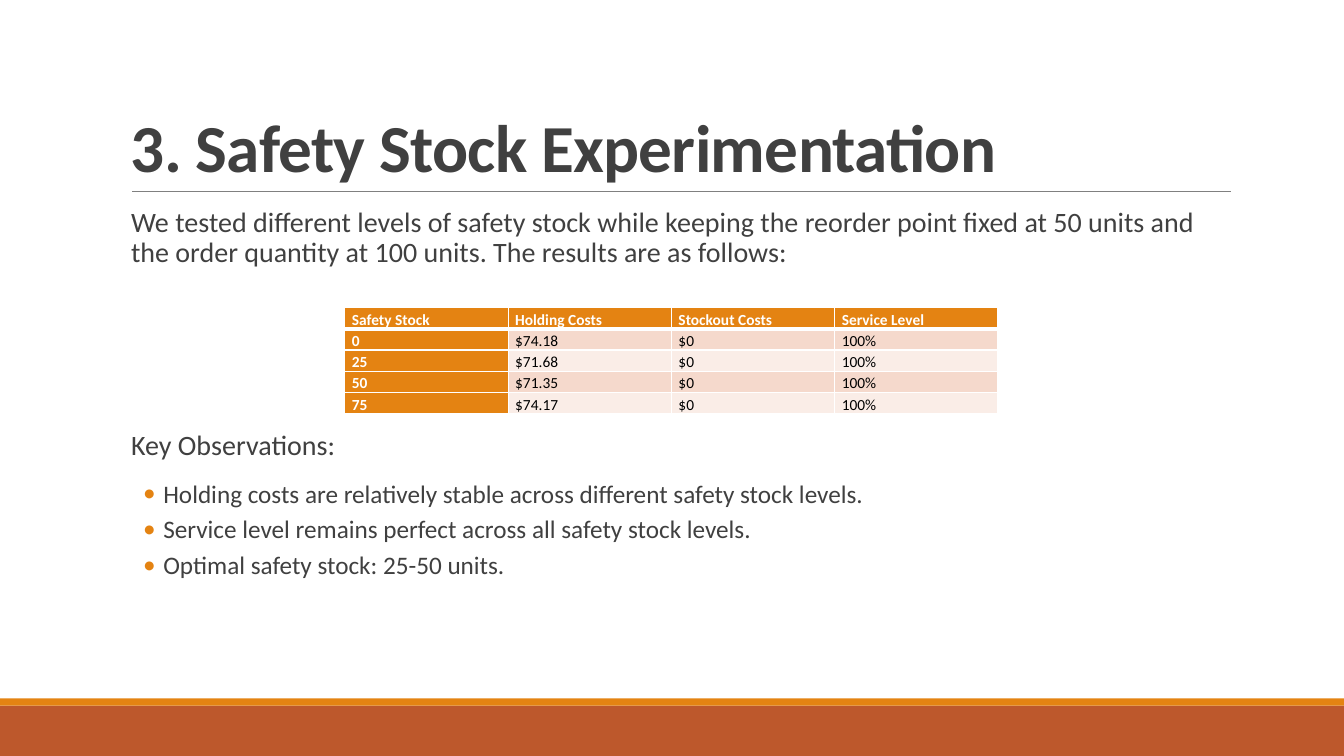
import pptx
import pptx.dml.color
import pptx.enum.shapes
import pptx.enum.text
import pptx.oxml
import pptx.oxml.ns
import pptx.util

Inches, Pt = pptx.util.Inches, pptx.util.Pt
ORANGE, RUST, DARK, WHITE = "E48312", "BD582C", "404040", "FFFFFF"
BANDS = ["F5D9CC", "FAEDE7"]


def color(hex_code):
    return pptx.dml.color.RGBColor.from_string(hex_code)


def add_xml(parent, xml):
    """Append an element of the drawing namespace to parent."""
    head, sep, rest = xml.partition(">")
    close = "/" if head.endswith("/") else ""
    namespace = pptx.oxml.ns.nsdecls("a")
    parent.append(pptx.oxml.parse_xml(f"{head.rstrip('/')} {namespace}{close}{sep}{rest}"))


class SlideBuilder:
    font = "Calibri"

    def __init__(self, slide):
        self.slide = slide

    def style(self, paragraph, size, ink, bold=False, line=0.9, before=0, after=0):
        paragraph.line_spacing = line
        paragraph.space_before, paragraph.space_after = Pt(before), Pt(after)
        for run in paragraph.runs:
            run.font.name, run.font.size, run.font.bold = self.font, Pt(size), bold
            run.font.color.rgb = color(ink)

    def bar(self, top, height, fill):
        bar = self.slide.shapes.add_shape(
            pptx.enum.shapes.MSO_SHAPE.RECTANGLE,
            0, Inches(top), Inches(13.33), Inches(height))
        bar.shadow.inherit = False
        bar.fill.solid()
        bar.fill.fore_color.rgb = color(fill)
        bar.line.fill.background()

    def rule(self, left, right, y):
        rule = self.slide.shapes.add_connector(
            pptx.enum.shapes.MSO_CONNECTOR.STRAIGHT,
            Inches(left), Inches(y), Inches(right), Inches(y))
        rule.line.color.rgb = color("808080")
        rule.line.width = Pt(0.5)
        add_xml(rule._element.spPr, "<a:effectLst/>")

    def text_box(self, left, top, width, height):
        box = self.slide.shapes.add_textbox(
            Inches(left), Inches(top), Inches(width), Inches(height))
        box.text_frame.word_wrap = True
        return box.text_frame

    def title(self, text):
        frame = self.text_box(1.2, 0.31, 11, 1.59)
        frame.vertical_anchor = pptx.enum.text.MSO_ANCHOR.BOTTOM
        frame.text = text
        self.style(frame.paragraphs[0], 48, DARK, bold=True, line=0.85)
        frame.paragraphs[0].runs[0].font._element.set("spc", "-50")

    def body(self, intro, heading, observations, table_gap):
        frame = self.text_box(1.2, 2.02, 11, 4.4)
        frame.margin_left = frame.margin_right = 0
        frame.text = "\n".join([intro, heading, *observations])
        lead, key, *bullets = frame.paragraphs
        for paragraph, before in ((lead, 12), (key, table_gap)):
            self.style(paragraph, 20, DARK, before=before, after=12)
            paragraph._p.get_or_add_pPr().set("marL", str(Inches(0.1)))
        for paragraph in bullets:
            paragraph.level = 1
            self.style(paragraph, 18, DARK, before=2, after=4)
            properties = paragraph._p.get_or_add_pPr()
            properties.set("marL", str(Inches(0.42)))
            properties.set("indent", str(Inches(-0.2)))
            add_xml(properties, f'<a:buClr><a:srgbClr val="{ORANGE}"/></a:buClr>')
            add_xml(properties, f'<a:buFont typeface="{self.font}"/>')
            add_xml(properties, '<a:buChar char="•"/>')

    def cell(self, cell, text, row, column):
        is_head = row == 0 or column == 0
        cell.text = text
        cell.margin_left = cell.margin_right = Inches(0.07)
        cell.margin_top = cell.margin_bottom = 0
        self.style(cell.text_frame.paragraphs[0], 11,
                   WHITE if is_head else "000000", bold=is_head, line=1.15)
        # The line under the header row is thicker
        thick_side = {0: "B", 1: "T"}.get(row)
        for side in "LRTB":
            width = Pt(3 if side == thick_side else 1)
            add_xml(cell._tc.get_or_add_tcPr(),
                    f'<a:ln{side} w="{width}"><a:solidFill>'
                    f'<a:srgbClr val="{WHITE}"/></a:solidFill></a:ln{side}>')
        cell.fill.solid()
        cell.fill.fore_color.rgb = color(ORANGE if is_head else BANDS[(row - 1) % 2])

    def table(self, rows, left, top, column_width, row_height):
        count = len(rows[0])
        table = self.slide.shapes.add_table(
            len(rows), count, Inches(left), Inches(top),
            Inches(column_width * count), Inches(row_height * len(rows))).table
        table.first_col = True
        for r, row in enumerate(rows):
            for c, text in enumerate(row):
                self.cell(table.cell(r, c), text, r, c)


def main():
    deck = pptx.Presentation()
    deck.slide_width, deck.slide_height = Inches(13.33), Inches(7.5)
    builder = SlideBuilder(deck.slides.add_slide(deck.slide_layouts[6]))

    # Footer bands and title rule
    builder.bar(7, 0.5, RUST)
    builder.bar(6.93, 0.07, ORANGE)
    builder.rule(1.31, 12.21, 1.9)

    # Title and body, with room for the table between intro and heading
    builder.title("3. Safety Stock Experimentation")
    builder.body(
        "We tested different levels of safety stock while keeping the reorder point "
        "fixed at 50 units and the order quantity at 100 units. "
        "The results are as follows:",
        "Key Observations:",
        ["Holding costs are relatively stable across different safety stock levels.",
         "Service level remains perfect across all safety stock levels.",
         "Optimal safety stock: 25-50 units."],
        table_gap=104)

    # Experiment results
    holding_costs = {"0": "$74.18", "25": "$71.68", "50": "$71.35", "75": "$74.17"}
    results = [["Safety Stock", "Holding Costs", "Stockout Costs", "Service Level"]]
    results += [[stock, cost, "$0", "100%"] for stock, cost in holding_costs.items()]
    builder.table(results, 3.42, 3.05, 1.62, 0.21)

    deck.save("out.pptx")


if __name__ == "__main__":
    main()
